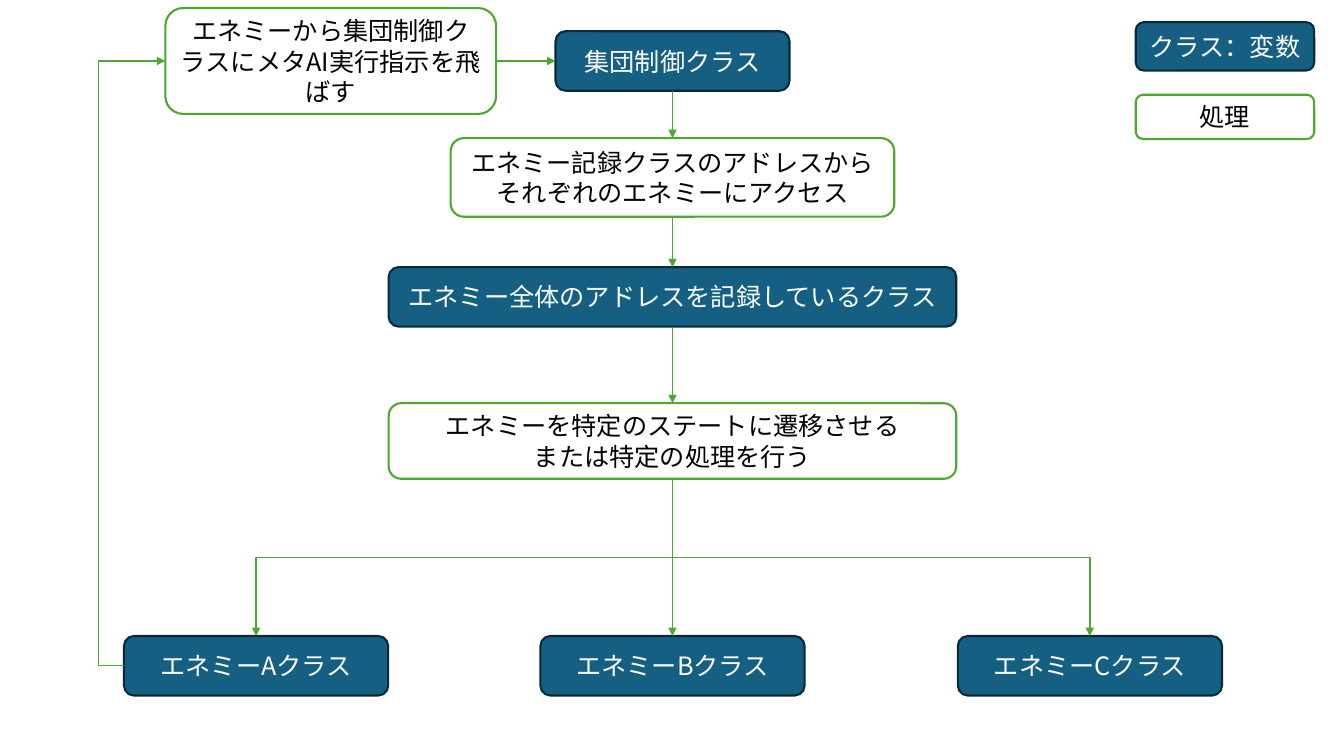
from lxml import etree
from pptx import Presentation
from pptx.dml.color import RGBColor
from pptx.enum import shapes, text
from pptx.oxml import ns
from pptx.util import Inches, Pt

FONT = "Noto Sans CJK JP"
HUES = {"blue": "156082", "navy": "092A39", "green": "4EA72E",
        "white": "FFFFFF", "black": "000000"}
CLASS = {"fill": "blue", "edge": "navy", "ink": "white"}
STEP = {"fill": "white", "edge": "green", "ink": "black"}
TOP, LEFT, BOTTOM, RIGHT = range(4)
MID = 6.67


def hue(name):
    return RGBColor.from_string(HUES[name])


def write(frame, words, size=18, ink="black", align=text.PP_ALIGN.CENTER):
    frame.word_wrap = True
    frame.vertical_anchor = text.MSO_ANCHOR.MIDDLE
    for i, line in enumerate(words.split("\n")):
        para = frame.paragraphs[0] if i == 0 else frame.add_paragraph()
        para.alignment = align
        run = para.add_run()
        run.text = line
        run.font.name = FONT
        run.font.size = Pt(size)
        run.font.color.rgb = hue(ink)
        east = etree.SubElement(run.font._element, ns.qn("a:ea"))
        east.set("typeface", FONT)


def node(slide, words, mid, top, width, height, look):
    box = slide.shapes.add_shape(
        shapes.MSO_SHAPE.ROUNDED_RECTANGLE, Inches(mid - width / 2),
        Inches(top), Inches(width), Inches(height))
    box.shadow.inherit = False
    box.fill.solid()
    box.fill.fore_color.rgb = hue(look["fill"])
    box.line.color.rgb = hue(look["edge"])
    box.line.width = Pt(1.5)
    write(box.text_frame, words, ink=look["ink"])
    return box


def arrow(slide, start, end, exit=BOTTOM, entry=TOP,
          kind=shapes.MSO_CONNECTOR.STRAIGHT):
    link = slide.shapes.add_connector(kind, 0, 0, 0, 0)
    link.begin_connect(start, exit)
    link.end_connect(end, entry)
    link.line.color.rgb = hue("green")
    link.line.width = Pt(1)
    tail = etree.SubElement(link.line._get_or_add_ln(), ns.qn("a:tailEnd"))
    tail.set("type", "triangle")
    etree.SubElement(link._element.spPr, ns.qn("a:effectLst"))
    return link


def branch(slide, start, end):
    link = arrow(slide, start, end, kind=shapes.MSO_CONNECTOR.ELBOW)
    right = link.end_x > link.begin_x
    left, top, width, height = link.left, link.top, link.width, link.height
    link.left = left + (width - height) // 2
    link.top = top + (height - width) // 2
    link.width, link.height = height, width
    frame = link._element.spPr.find(ns.qn("a:xfrm"))
    frame.set("rot", str((270 if right else 90) * 60000))
    frame.set("flipH", "1" if right else "0")


def loop(slide, start, end, bend):
    link = arrow(slide, start, end, LEFT, LEFT, shapes.MSO_CONNECTOR.ELBOW)
    geom = link._element.spPr.find(ns.qn("a:prstGeom"))
    guides = geom.find(ns.qn("a:avLst"))
    guide = etree.SubElement(guides, ns.qn("a:gd"))
    guide.set("name", "adj1")
    guide.set("fmla", f"val {round(bend * 100000)}")


def main():
    deck = Presentation()
    deck.slide_width, deck.slide_height = Inches(13.33), Inches(7.5)
    slide = deck.slides.add_slide(deck.slide_layouts[6])

    call = node(slide, "エネミーから集団制御クラスにメタAI実行指示を飛ばす",
                3.28, 0.08, 3.28, 1.05, STEP)
    chain = [node(slide, words, MID, *place) for words, *place in (
        ("集団制御クラス", 0.31, 2.32, 0.59, CLASS),
        ("エネミー記録クラスのアドレスからそれぞれのエネミーにアクセス",
         1.37, 4.4, 0.78, STEP),
        ("エネミー全体のアドレスを記録しているクラス",
         2.65, 5.63, 0.59, CLASS),
        ("エネミーを特定のステートに遷移させる\nまたは特定の処理を行う",
         4, 5.63, 0.75, STEP))]
    foes = [node(slide, f"エネミー{name}クラス", mid, 6.31, 2.62, 0.59, CLASS)
            for name, mid in zip("ABC", (2.54, MID, 10.81))]
    node(slide, "クラス：変数", 12.15, 0.22, 1.77, 0.48, CLASS)
    node(slide, "処理", 12.15, 0.94, 1.77, 0.44, STEP)

    arrow(slide, call, chain[0], RIGHT, LEFT)
    for start, end in zip(chain, chain[1:] + [foes[1]]):
        arrow(slide, start, end)
    for foe in (foes[0], foes[2]):
        branch(slide, chain[-1], foe)
    loop(slide, foes[0], call, -0.61)

    deck.save("out.pptx")


if __name__ == "__main__":
    main()
